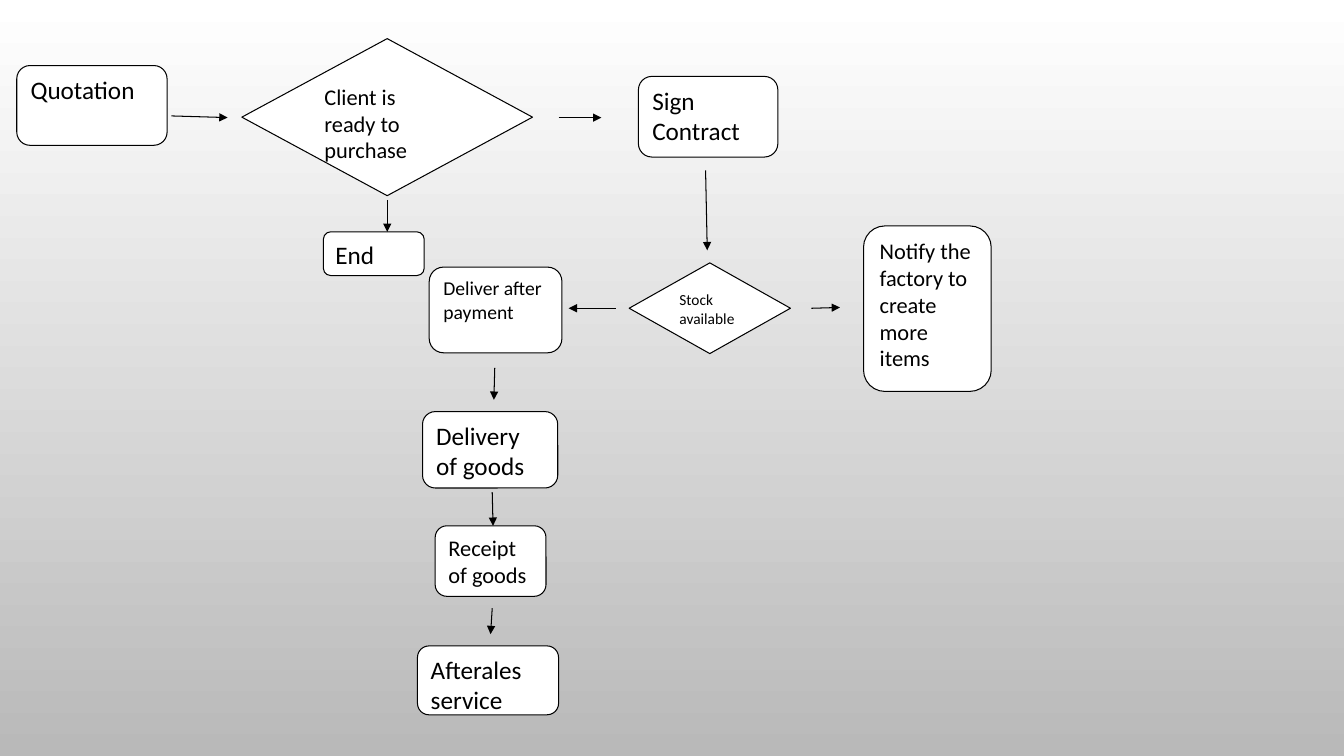
from dataclasses import dataclass

from lxml.etree import SubElement
from pptx import Presentation
from pptx.dml.color import RGBColor
from pptx.enum.shapes import MSO_CONNECTOR as Connector, MSO_SHAPE as Shape
from pptx.enum.text import MSO_ANCHOR as Anchor, PP_ALIGN as Align
from pptx.oxml.ns import qn
from pptx.util import Inches, Pt


@dataclass(frozen=True)
class Theme:
    font: str = "Calibri"
    ink: RGBColor = RGBColor(0, 0, 0)
    paper: RGBColor = RGBColor(255, 255, 255)
    shade: RGBColor = RGBColor(0xB9, 0xB9, 0xB9)
    large: int = 18
    medium: int = 16
    small: int = 14
    tiny: int = 11
    line: float = 0.75


THEME = Theme()
WIDTH, HEIGHT = Inches(13.33), Inches(7.5)
COLUMNS, ROWS = 16, 9


@dataclass(frozen=True)
class Region:
    column: float
    row: float

    def point(self, column, row):
        return (round((self.column + column) * WIDTH / COLUMNS),
                round((self.row + row) * HEIGHT / ROWS))


def add_node(slide, region, kind, text, size, column, row, columns, rows):
    left, top = region.point(column, row)
    right, bottom = region.point(column + columns, row + rows)
    shape = slide.shapes.add_shape(kind, left, top, right - left, bottom - top)
    shape.shadow.inherit = False
    shape.fill.solid()
    shape.fill.fore_color.rgb = THEME.paper
    shape.line.color.rgb = THEME.ink
    shape.line.width = Pt(THEME.line)
    frame = shape.text_frame
    frame.word_wrap = True
    frame.vertical_anchor = Anchor.TOP
    paragraph = frame.paragraphs[0]
    paragraph.alignment = Align.LEFT
    run = paragraph.add_run()
    run.text = text
    run.font.name = THEME.font
    run.font.size = Pt(size)
    run.font.color.rgb = THEME.ink


def add_step(slide, region, *details):
    add_node(slide, region, Shape.ROUNDED_RECTANGLE, *details)


def add_decision(slide, region, *details):
    add_node(slide, region, Shape.FLOWCHART_DECISION, *details)


def add_arrow(slide, region, start, end):
    arrow = slide.shapes.add_connector(
        Connector.STRAIGHT, *region.point(*start), *region.point(*end))
    arrow.line.color.rgb = THEME.ink
    arrow.line.width = Pt(THEME.line)
    SubElement(arrow.line._get_or_add_ln(), qn("a:tailEnd"), type="triangle")
    SubElement(arrow._element.spPr, qn("a:effectLst"))


def paint_background(slide):
    fill = slide.background.fill
    fill.gradient()
    fill.gradient_angle = 270
    for stop, color in zip(fill.gradient_stops, (THEME.paper, THEME.shade)):
        stop.color.rgb = color


def draw_order(slide, region):
    add_step(slide, region, "Quotation", THEME.large, 0.2, 0.78, 1.79, 0.95)
    add_decision(slide, region, "Client is ready to purchase", THEME.medium,
                 2.88, 0.46, 3.46, 1.87)
    add_step(slide, region, "Sign Contract", THEME.large, 7.6, 0.91, 1.66, 0.96)
    add_step(slide, region, "End", THEME.large, 3.85, 2.76, 1.2, 0.52)
    add_arrow(slide, region, (2.04, 1.38), (2.71, 1.4))
    add_arrow(slide, region, (6.65, 1.4), (7.16, 1.4))
    add_arrow(slide, region, (4.61, 2.38), (4.61, 2.76))


def draw_stock(slide, region):
    add_decision(slide, region, "Stock available", THEME.tiny, 2.49, 1.13, 1.92, 1.08)
    add_step(slide, region, "Deliver after payment", THEME.small,
             0.11, 1.18, 1.58, 1.02)
    add_step(slide, region, "Notify the factory to create more items", THEME.medium,
             5.28, 0.69, 1.52, 1.97)
    add_arrow(slide, region, (3.4, 0.03), (3.42, 0.98))
    add_arrow(slide, region, (2.33, 1.67), (1.77, 1.67))
    add_arrow(slide, region, (4.66, 1.67), (5, 1.66))


def draw_fulfilment(slide, region):
    add_step(slide, region, "Delivery of goods", THEME.large, 0.53, 0.9, 1.61, 0.91)
    add_step(slide, region, "Receipt of goods", THEME.medium, 0.68, 2.26, 1.32, 0.84)
    add_step(slide, region, "Afterales service", THEME.large, 0.47, 3.69, 1.68, 0.82)
    add_arrow(slide, region, (1.39, 0.38), (1.38, 0.76))
    add_arrow(slide, region, (1.36, 1.86), (1.37, 2.26))
    add_arrow(slide, region, (1.36, 3.24), (1.34, 3.55))


def main():
    presentation = Presentation()
    presentation.slide_width, presentation.slide_height = WIDTH, HEIGHT
    slide = presentation.slides.add_slide(presentation.slide_layouts[6])
    paint_background(slide)
    draw_order(slide, Region(0, 0))
    draw_stock(slide, Region(5, 2))
    draw_fulfilment(slide, Region(4.5, 4))
    presentation.save("out.pptx")


if __name__ == "__main__":
    main()
